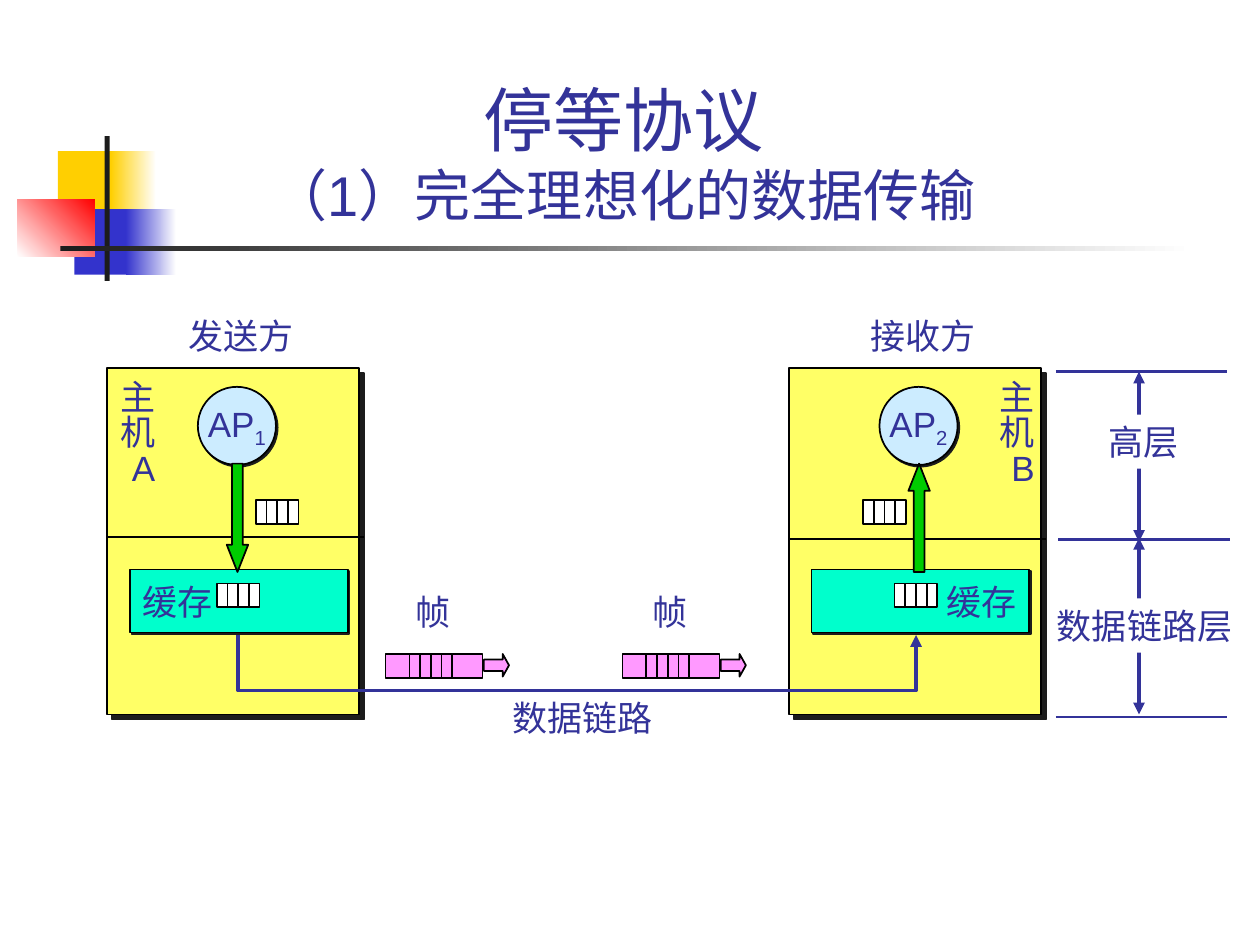
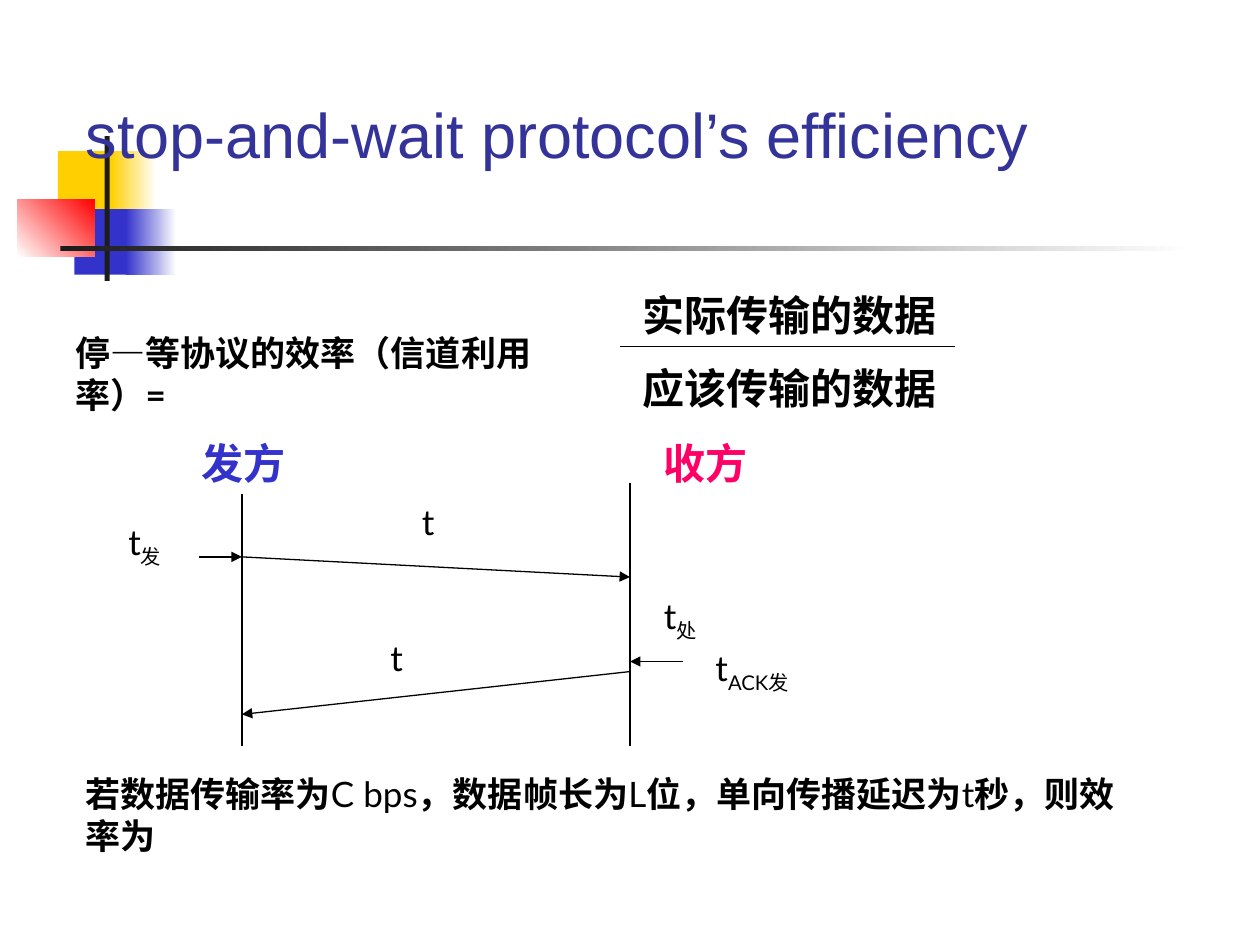
"""Build two slides on the stop-and-wait protocol."""
from dataclasses import dataclass

from lxml import etree
from pptx import Presentation
from pptx.dml.color import RGBColor
from pptx.enum.shapes import MSO_CONNECTOR, MSO_SHAPE
from pptx.enum.text import MSO_ANCHOR, MSO_AUTO_SIZE, PP_ALIGN
from pptx.oxml.ns import qn
from pptx.util import Inches, Pt

RECT, OVAL = MSO_SHAPE.RECTANGLE, MSO_SHAPE.OVAL
UP, DOWN, RIGHT = MSO_SHAPE.UP_ARROW, MSO_SHAPE.DOWN_ARROW, MSO_SHAPE.RIGHT_ARROW
STRAIGHT = MSO_CONNECTOR.STRAIGHT
LEFT_ALIGN, CENTER, RIGHT_ALIGN = PP_ALIGN.LEFT, PP_ALIGN.CENTER, PP_ALIGN.RIGHT
TOP, MIDDLE, BOTTOM = MSO_ANCHOR.TOP, MSO_ANCHOR.MIDDLE, MSO_ANCHOR.BOTTOM
NO_FIT, GROW = MSO_AUTO_SIZE.NONE, MSO_AUTO_SIZE.SHAPE_TO_FIT_TEXT
TITLE_ONLY = 5


@dataclass(frozen=True)
class Theme:
    """Colours, fonts and type sizes of the deck."""
    ink: str = "333399"
    blue: str = "3333CC"
    gold: str = "FFCF01"
    red: str = "FF0000"
    rose: str = "FF0066"
    dark: str = "1C1C1C"
    black: str = "000000"
    white: str = "FFFFFF"
    host: str = "FFFF66"
    buffer: str = "00FFCC"
    process: str = "CCECFF"
    flow: str = "00CC00"
    frame: str = "FF99FF"
    sans: str = "Arial"
    text: str = "Lato"
    serif: str = "Times New Roman"
    body: int = 20
    large: int = 24
    title: int = 36
    title_top: int = 40
    title_sub: int = 32


THEME = Theme()


@dataclass(frozen=True)
class Host:
    """One end of the data link."""
    heading: str
    letter: str
    number: str
    left: float
    divider: float
    name_left: float
    packet_left: float
    buffered_left: float
    arrow: int
    buffer_align: int


HOSTS = (
    Host("发送方", "A", "1", 0.85, 4.26, 0.85, 2.03, 1.72, DOWN, LEFT_ALIGN),
    Host("接收方", "B", "2", 6.26, 4.28, 7.83, 6.85, 7.1, UP, RIGHT_ALIGN),
)


def rgb(value):
    """Return a colour object for a hex string."""
    return RGBColor.from_string(value)


def style_span(span, size, color, font=THEME.sans, bold=False, sub=False):
    """Format one run."""
    span.font.size = Pt(size)
    span.font.name = font
    span.font.bold = bold
    span.font.color.rgb = rgb(color)
    if sub:
        span._r.get_or_add_rPr().set("baseline", "-25000")


def write(box, spans, size=THEME.body, color=THEME.ink, align=LEFT_ALIGN,
          anchor=TOP, wrap=False, fit=GROW, **style):
    """Fill a shape with one paragraph of (text, overrides) spans."""
    frame = box.text_frame
    frame.word_wrap, frame.auto_size, frame.vertical_anchor = wrap, fit, anchor
    para = frame.paragraphs[0]
    para.alignment = align
    for text, changes in spans:
        span = para.add_run()
        span.text = text
        style_span(span, size, color, **{**style, **changes})


def add_label(page, at, text, **style):
    """Add a text box; text is a string or a list of spans."""
    box = page.shapes.add_textbox(*map(Inches, at))
    write(box, [(text, {})] if isinstance(text, str) else text, **style)


def add_note(page, at, text, color=THEME.black, **style):
    """Add a wrapped label in the text font."""
    add_label(page, at, text, color=color, font=THEME.text, wrap=True, **style)


def add_block(shapes, kind, at, fill, outline=THEME.black, adjust=(), shadow=0):
    """Add a filled preset shape, with a hard shadow if a distance is given."""
    block = shapes.add_shape(kind, *map(Inches, at))
    block.shadow.inherit = False
    block.fill.solid()
    block.fill.fore_color.rgb = rgb(fill)
    if outline:
        block.line.color.rgb = rgb(outline)
        block.line.width = Pt(1)
    else:
        block.line.fill.background()
    for index, value in enumerate(adjust):
        block.adjustments[index] = value
    if shadow:
        effects = block._element.spPr.find(qn("a:effectLst"))
        outer = etree.SubElement(effects, qn("a:outerShdw"), dist=str(Pt(shadow)),
                                 dir="2700000", algn="ctr", rotWithShape="0")
        etree.SubElement(outer, qn("a:srgbClr"), val=THEME.dark)
    return block


def add_arrowheads(shape, *ends):
    """Put triangles on the named ends of a line."""
    line = shape.line._get_or_add_ln()
    for end in ends:
        etree.SubElement(line, qn(f"a:{end}"), type="triangle")


def add_line(shapes, start, end, color=THEME.black, width=1.0, ends=()):
    """Add a straight line with optional arrowheads."""
    line = shapes.add_connector(STRAIGHT, *map(Inches, (*start, *end)))
    line.line.color.rgb = rgb(color)
    line.line.width = Pt(width)
    add_arrowheads(line, *ends)
    etree.SubElement(line._element.spPr, qn("a:effectLst"))


def add_decor(page):
    """Draw the coloured squares and bars and move them to the layout."""
    pieces = (
        ((0.46, 1.2, 0.48, 0.52), THEME.gold, None, 0),
        ((0.88, 1.2, 0.36, 0.52), THEME.gold, THEME.white, 0),
        ((0.59, 1.66, 0.46, 0.52), THEME.blue, None, 0),
        ((1, 1.66, 0.4, 0.52), THEME.blue, THEME.white, 0),
        ((0.14, 1.58, 0.61, 0.46), THEME.white, THEME.red, 45),
        ((0.83, 1.08, 0.04, 1.15), THEME.dark, None, 0),
        ((0.48, 1.95, 9, 0.04), THEME.dark, THEME.white, 0),
    )
    tree = page.slide_layout.shapes._spTree
    for index, (at, first, last, angle) in enumerate(pieces):
        piece = add_block(page.shapes, RECT, at, first, outline=None)
        if last:
            piece.fill.gradient()
            piece.fill.gradient_angle = angle
            for stop, color in zip(piece.fill.gradient_stops, (first, last)):
                stop.color.rgb = rgb(color)
        piece._element.nvSpPr.cNvPr.set("id", str(20 + index))
        tree.insert(2 + index, piece._element)


def set_title(page, at, text, sizes, align):
    """Place the title and give each of its lines a size."""
    title = page.shapes.title
    title.left, title.top, title.width, title.height = map(Inches, at)
    frame = title.text_frame
    frame.text = text
    frame.auto_size, frame.vertical_anchor = NO_FIT, BOTTOM
    para = frame.paragraphs[0]
    para.alignment = align
    for span, size in zip(para.runs, sizes):
        style_span(span, size, THEME.ink)


def add_cells(shapes, left, top, fill=THEME.white):
    """Add a packet of four cells."""
    width, height = 0.34, 0.19
    add_block(shapes, RECT, (left, top, width, height), fill)
    for index in (1, 2, 3):
        x = left + index * width / 4
        add_line(shapes, (x, top), (x, top + height))


def add_packet(page, left, top):
    """Add a grouped packet."""
    add_cells(page.shapes.add_group_shape().shapes, left, top)


def add_frame(page, left):
    """Add a labelled frame travelling to the right."""
    top = 5.19
    shapes = page.shapes.add_group_shape().shapes
    add_block(shapes, RECT, (left, top, 0.77, 0.19), THEME.frame)
    add_cells(shapes, left + 0.19, top, THEME.frame)
    add_block(shapes, RIGHT, (left + 0.78, top, 0.2, 0.18), THEME.frame,
              adjust=(0.5, 0.28))
    add_label(page, (left + 0.14, 4.64, 0.48, 0.43), "帧")


def add_host(page, host):
    """Add a host with its process, buffer and packets."""
    left, shapes = host.left, page.shapes
    add_label(page, (left + 0.55, 2.45, 1.06, 0.43), host.heading)
    add_block(shapes, RECT, (left, 2.92, 2, 2.75), THEME.host, shadow=4.2)
    add_line(shapes, (left, host.divider), (left + 2.04, host.divider))
    name = shapes.add_textbox(*map(Inches, (host.name_left, 2.98, 0.48, 0.95)))
    name.text_frame.text = f"主\n机\n{host.letter}"
    name.text_frame.word_wrap = True
    for para in name.text_frame.paragraphs:
        para.line_spacing = 0.85
        para.alignment = RIGHT_ALIGN
        style_span(para.runs[0], THEME.body, THEME.ink)
    buffer = add_block(shapes, RECT, (left + 0.18, 4.52, 1.73, 0.5),
                       THEME.buffer, shadow=1.4)
    write(buffer, [("缓存", {})], align=host.buffer_align, anchor=MIDDLE,
          wrap=True, fit=NO_FIT)
    process = add_block(shapes, OVAL, (left + 0.72, 3.07, 0.62, 0.62),
                        THEME.process, shadow=1.4)
    write(process, [("AP", {}), (host.number, {"sub": True})], align=CENTER,
          anchor=MIDDLE, fit=NO_FIT)
    add_block(shapes, host.arrow, (left + 0.95, 3.68, 0.17, 0.86), THEME.flow,
              adjust=(0.5, 1.27))
    add_packet(page, host.packet_left, 3.97)
    add_packet(page, host.buffered_left, 4.63)


def add_link(page):
    """Draw the data link from the sending to the receiving buffer."""
    points = [(Inches(x), Inches(y)) for x, y in
              ((1.89, 5.04), (1.89, 5.48), (7.27, 5.48), (7.27, 5.04))]
    builder = page.shapes.build_freeform(*points[0])
    builder.add_line_segments(points[1:], close=False)
    link = builder.convert_to_shape()
    link.shadow.inherit = False
    link.fill.background()
    link.line.color.rgb = rgb(THEME.ink)
    link.line.width = Pt(2.25)
    add_arrowheads(link, "tailEnd")
    add_label(page, (3.97, 5.48, 1.31, 0.43), "数据链路")


def add_layer(page, top, bottom, at, text):
    """Mark the height of a protocol layer."""
    add_line(page.shapes, (9.04, top), (9.04, bottom), THEME.ink, 2.25,
             ("headEnd", "tailEnd"))
    write(add_block(page.shapes, RECT, at, THEME.white, outline=None), [(text, {})])


def build_transfer(page):
    """Build the slide on idealised transfer."""
    set_title(page, (1.2, 0.6, 7.5, 1.26), "停等协议\v（1）完全理想化的数据传输",
              (THEME.title_top, THEME.title_sub), CENTER)
    add_layer(page, 4.27, 5.67, (8.29, 4.75, 1.59, 0.43), "数据链路层")
    for host in HOSTS:
        add_host(page, host)
    add_link(page)
    for left in (3.06, 4.94):
        add_frame(page, left)
    for left, y in ((8.38, 2.95), (8.4, 4.28), (8.38, 5.69)):
        add_line(page.shapes, (left, y), (left + 1.36, y), THEME.ink, 1.5)
    add_layer(page, 2.95, 4.3, (8.7, 3.29, 0.76, 0.43), "高层")


def build_efficiency(page):
    """Build the slide on efficiency."""
    set_title(page, (0.58, 0.58, 8.83, 0.83), "stop-and-wait protocol’s efficiency",
              (THEME.title,), LEFT_ALIGN)
    add_note(page, (0.5, 2.58, 4.25, 0.77),
             [("停", {}), ("—", {"font": THEME.serif}),
              ("等协议的效率（信道利用率）=", {})], bold=True)
    for at, text, color in (
            ((5, 2.25, 2.67, 0.5), "实际传输的数据", THEME.black),
            ((5, 2.83, 2.67, 0.5), "应该传输的数据", THEME.black),
            ((1.5, 3.42, 0.92, 0.5), "发方", THEME.blue),
            ((5.17, 3.42, 0.92, 0.5), "收方", THEME.rose)):
        add_note(page, at, text, color, size=THEME.large, bold=True)
    for start, end in (((4.92, 2.75), (7.58, 2.75)), ((1.92, 3.92), (1.92, 5.92)),
                       ((5, 3.83), (5, 5.92))):
        add_line(page.shapes, start, end, width=0.75)
    for start, end in (((1.58, 4.42), (1.92, 4.42)), ((1.92, 4.42), (5, 4.58)),
                       ((5.42, 5.25), (5, 5.25)), ((5, 5.33), (1.92, 5.67))):
        add_line(page.shapes, start, end, width=0.75, ends=("tailEnd",))
    for left, top, width, sub in ((0.92, 4.08, 0.58, "发"), (5.17, 4.67, 0.75, "处"),
                                  (5.58, 5.08, 0.92, "ACK发")):
        add_note(page, (left, top, width, 0.48), [("t", {}), (sub, {"sub": True})])
    for left, top in ((3.25, 3.92), (3, 5)):
        add_note(page, (left, top, 0.92, 0.44), "t")
    parts = ("若数据传输率为", "C bps", "，数据帧长为", "L", "位，单向传播延迟为",
             "t", "秒，则效率为")
    add_note(page, (0.58, 6.08, 8.58, 0.77),
             [(part, {"bold": index % 2 == 0}) for index, part in enumerate(parts)])


def main():
    """Build and save the deck."""
    deck = Presentation()
    deck.slide_width, deck.slide_height = Inches(10), Inches(7.5)
    layout = deck.slide_layouts[TITLE_ONLY]
    pages = [deck.slides.add_slide(layout) for _ in range(2)]
    add_decor(pages[0])
    build_transfer(pages[0])
    build_efficiency(pages[1])
    deck.save("out.pptx")


if __name__ == "__main__":
    main()
